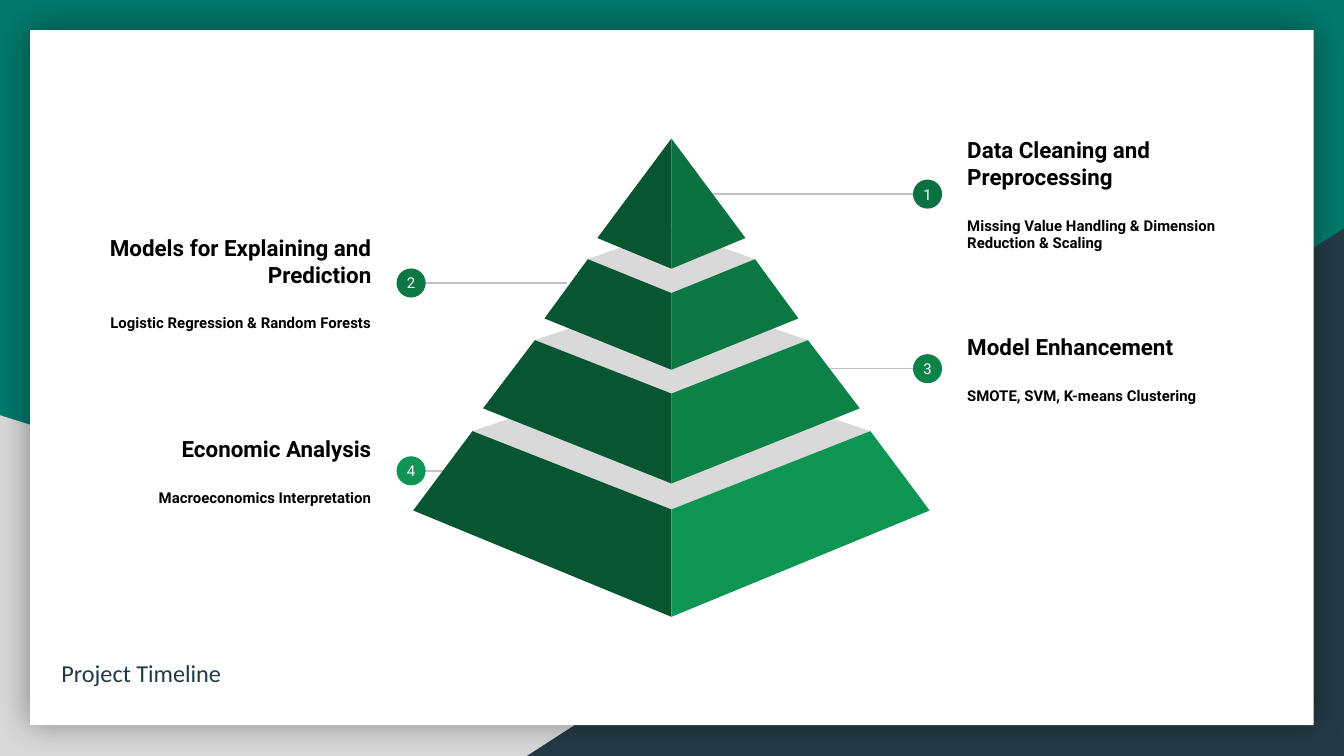
"""Build the project timeline slide: a four-tier pyramid with numbered captions."""
from dataclasses import dataclass
from typing import NamedTuple, Optional

from lxml.etree import SubElement
from pptx import Presentation
from pptx.dml.color import RGBColor
from pptx.enum.shapes import MSO_CONNECTOR, MSO_SHAPE
from pptx.enum.text import MSO_ANCHOR, MSO_AUTO_SIZE, PP_ALIGN
from pptx.oxml.ns import qn
from pptx.util import Cm, Pt


@dataclass(frozen=True)
class Theme:
    """Colours, fonts and type sizes of the slide."""
    backdrop: str = "00796B"
    navy: str = "233A44"
    grey: str = "D9D9D9"
    white: str = "FFFFFF"
    black: str = "000000"
    leader: str = "C2C2C2"
    shade: str = "085631"
    title_font: str = "Calibri"
    body_font: str = "Roboto"
    title_size: int = 13
    heading_size: int = 12
    detail_size: int = 8


class Tier(NamedTuple):
    """One pyramid tier: half widths and heights in centimetres."""
    colour: str
    top_half: float
    top_side: float
    top_front: float
    base_half: float
    base_side: float
    base_front: float
    lid_back: Optional[float] = None


class Step(NamedTuple):
    """One numbered caption tied to a pyramid tier."""
    heading: str
    detail: str
    on_right: bool
    middle: float
    leader_start: float


THEME = Theme()
AXIS = 12.69
BADGE = 0.55
CAPTION_WIDTH, CAPTION_HEIGHT = 5.77, 2.92

TIERS = [
    Tier("0B7140", 0, 2.62, 2.62, 1.4, 4.5, 5.08),
    Tier("0B7743", 1.58, 4.9, 5.54, 2.4, 6.02, 6.99, 4.34),
    Tier("0C8148", 2.58, 6.43, 7.44, 3.56, 7.72, 9.14, 5.56),
    Tier("0E9453", 3.76, 8.15, 9.63, 4.88, 9.65, 11.66, 6.88),
]

STEPS = [
    Step("Data Cleaning and Preprocessing",
         "Missing Value Handling & Dimension Reduction & Scaling", True, 3.67, 13.44),
    Step("Models for Explaining and Prediction",
         "Logistic Regression & Random Forests", False, 5.35, 10.72),
    Step("Model Enhancement", "SMOTE, SVM, K-means Clustering", True, 6.97, 15.62),
    Step("Economic Analysis", "Macroeconomics Interpretation", False, 8.9, 10.72),
]


def rgb(colour: str) -> RGBColor:
    """Turn a hex string into a colour."""
    return RGBColor.from_string(colour)


def paint(shape, colour: str) -> None:
    """Give a shape a flat fill without outline or shadow."""
    shape.shadow.inherit = False
    shape.fill.solid()
    shape.fill.fore_color.rgb = rgb(colour)
    shape.line.fill.background()


def add_block(slide, kind, left: float, top: float, width: float, height: float, colour: str):
    """Add a flat preset shape."""
    block = slide.shapes.add_shape(kind, Cm(left), Cm(top), Cm(width), Cm(height))
    paint(block, colour)
    return block


def add_face(slide, points: list[tuple[float, float]], colour: str) -> None:
    """Add a flat polygon."""
    corners = [(Cm(x), Cm(y)) for x, y in points]
    builder = slide.shapes.build_freeform(*corners[0], scale=1.0)
    builder.add_line_segments(corners[1:], close=True)
    paint(builder.convert_to_shape(), colour)


def style(paragraph, size: int, colour: str, align, font: str = THEME.body_font,
          bold: bool = False) -> None:
    """Format a whole paragraph."""
    paragraph.alignment = align
    paragraph.font.name = font
    paragraph.font.size = Pt(size)
    paragraph.font.bold = bold
    paragraph.font.color.rgb = rgb(colour)


def set_insets(frame, inset: float) -> None:
    """Set the same inset on all four sides."""
    frame.margin_left = frame.margin_right = Cm(inset)
    frame.margin_top = frame.margin_bottom = Cm(inset)


def add_backdrop(slide) -> None:
    """Paint the background, its two corner triangles and the shadowed card."""
    slide.background.fill.solid()
    slide.background.fill.fore_color.rgb = rgb(THEME.backdrop)
    add_block(slide, MSO_SHAPE.RIGHT_TRIANGLE, 0, 7.85, 20.47, 6.44, THEME.grey)
    corner = add_block(slide, MSO_SHAPE.RIGHT_TRIANGLE, 9.96, 4.32, 15.44, 9.97, THEME.navy)
    corner.element.spPr.find(qn("a:xfrm")).set("flipH", "1")
    card = add_block(slide, MSO_SHAPE.RECTANGLE, 0.57, 0.57, 24.26, 13.14, THEME.white)
    effects = card.element.spPr.find(qn("a:effectLst"))
    shadow = SubElement(effects, qn("a:outerShdw"), blurRad=str(Pt(18)), dist="0",
                        dir="0", algn="ctr", rotWithShape="0")
    tint = SubElement(shadow, qn("a:srgbClr"), val=THEME.black)
    SubElement(tint, qn("a:alpha"), val="40000")


def add_title(slide, wording: str) -> None:
    """Place the title at the foot of the card, above the backdrop."""
    title = slide.shapes.title
    slide.shapes.element.append(title.element)
    title.left, title.top, title.width, title.height = Cm(0.91), Cm(11.56), Cm(20.6), Cm(1.68)
    frame = title.text_frame
    frame.text = wording
    frame.auto_size = MSO_AUTO_SIZE.NONE
    frame.vertical_anchor = MSO_ANCHOR.BOTTOM
    set_insets(frame, 0.25)
    style(frame.paragraphs[0], THEME.title_size, THEME.navy, PP_ALIGN.LEFT, THEME.title_font)


def add_step(slide, number: int, step: Step) -> None:
    """Add the caption, leader line and numbered badge of a step."""
    caption_left, badge_middle = (18.03, 17.53) if step.on_right else (1.5, 7.77)
    align = PP_ALIGN.LEFT if step.on_right else PP_ALIGN.RIGHT
    caption = slide.shapes.add_textbox(
        Cm(caption_left), Cm(step.middle - CAPTION_HEIGHT / 2),
        Cm(CAPTION_WIDTH), Cm(CAPTION_HEIGHT)).text_frame
    caption.word_wrap = True
    caption.vertical_anchor = MSO_ANCHOR.MIDDLE
    set_insets(caption, 0.25)
    heading, detail = caption.paragraphs[0], caption.add_paragraph()
    heading.text, detail.text = step.heading, step.detail
    style(heading, THEME.heading_size, THEME.black, align, bold=True)
    style(detail, THEME.detail_size, THEME.black, align, bold=True)
    detail.space_before = Pt(14)

    leader = slide.shapes.add_connector(
        MSO_CONNECTOR.STRAIGHT, Cm(step.leader_start), Cm(step.middle),
        Cm(badge_middle), Cm(step.middle))
    leader.line.color.rgb = rgb(THEME.leader)
    leader.line.width = Pt(0.75)
    SubElement(leader.element.spPr, qn("a:effectLst"))

    badge = add_block(slide, MSO_SHAPE.OVAL, badge_middle - BADGE / 2,
                      step.middle - BADGE / 2, BADGE, BADGE, TIERS[number - 1].colour)
    label = badge.text_frame
    label.text = str(number)
    label.word_wrap = False
    label.vertical_anchor = MSO_ANCHOR.MIDDLE
    set_insets(label, 0)
    style(label.paragraphs[0], THEME.detail_size, THEME.white, PP_ALIGN.CENTER)


def add_tier(slide, tier: Tier) -> None:
    """Add the lid and the two mirrored faces of a tier."""
    if tier.lid_back is not None:
        add_face(slide, [(AXIS - tier.top_half, tier.top_side), (AXIS, tier.top_front),
                         (AXIS + tier.top_half, tier.top_side), (AXIS, tier.lid_back)],
                 THEME.grey)
    for side, colour in ((-1, THEME.shade), (1, tier.colour)):
        add_face(slide, [(AXIS + side * tier.top_half, tier.top_side), (AXIS, tier.top_front),
                         (AXIS, tier.base_front),
                         (AXIS + side * tier.base_half, tier.base_side)], colour)


def main() -> None:
    """Assemble and save the slide."""
    deck = Presentation()
    deck.slide_width, deck.slide_height = Cm(25.4), Cm(14.29)
    slide = deck.slides.add_slide(deck.slide_layouts[5])
    add_backdrop(slide)
    add_title(slide, "Project Timeline")
    for number, step in enumerate(STEPS, start=1):
        add_step(slide, number, step)
    for tier in reversed(TIERS):
        add_tier(slide, tier)
    deck.save("out.pptx")


if __name__ == "__main__":
    main()
